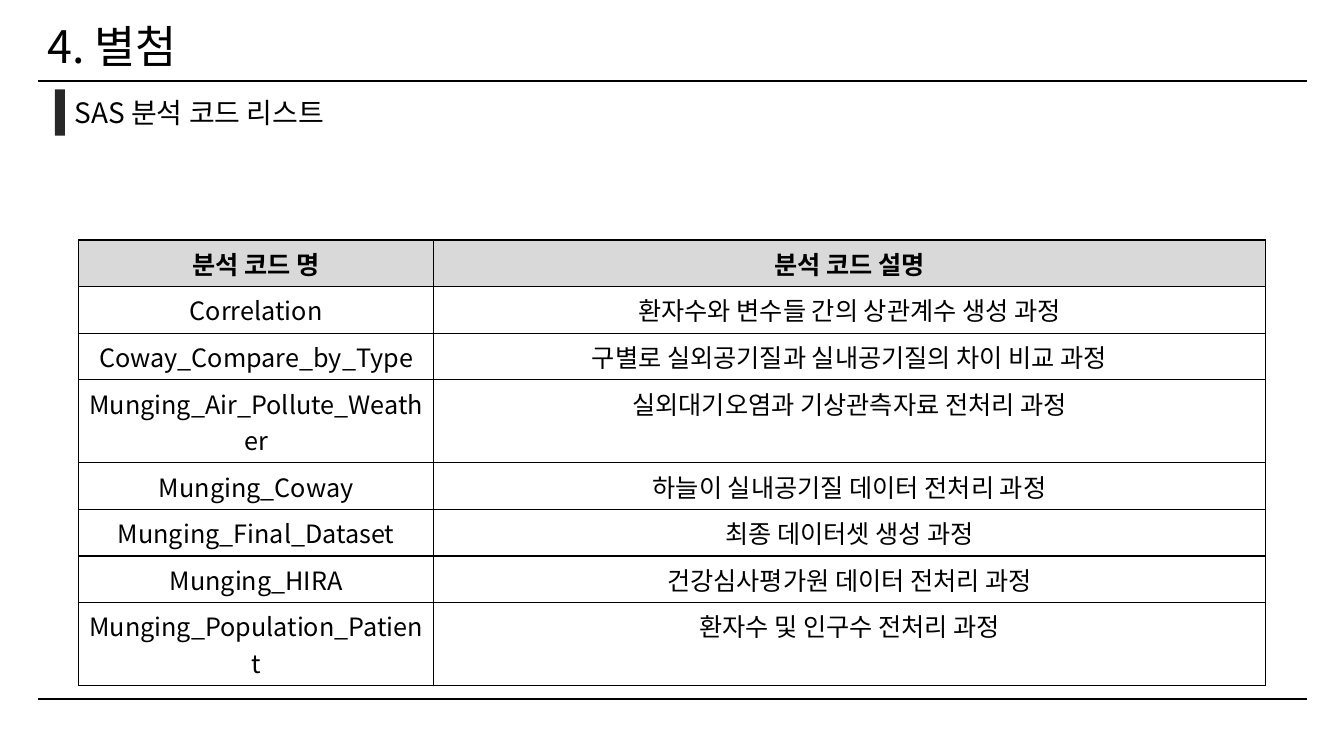
from lxml import etree
from pptx import Presentation
from pptx import util as u
from pptx.dml.color import RGBColor
from pptx.enum import shapes, text
from pptx.oxml import ns

Pt = u.Pt
FONT = "Noto Sans CJK KR"
HUES = {"ink": "000000", "bar": "282828", "head": "D9D9D9"}
hue = {name: RGBColor.from_string(code) for name, code in HUES.items()}


def style(para, size, bold=False):
    """Format every run of the paragraph."""
    for run in para.runs:
        run.font.name = FONT
        run.font.size = Pt(size)
        run.font.bold = bold
        run.font.color.rgb = hue["ink"]


def border(cell, width):
    """Draw a solid line on all four sides of the cell."""
    props = cell._tc.get_or_add_tcPr()
    for spot, side in enumerate(("lnL", "lnR", "lnT", "lnB")):
        line = etree.Element(ns.qn("a:" + side), w=str(Pt(width)))
        fill = etree.SubElement(line, ns.qn("a:solidFill"))
        etree.SubElement(fill, ns.qn("a:srgbClr"), val=HUES["ink"])
        props.insert(spot, line)


deck = Presentation()
deck.slide_width, deck.slide_height = Pt(960), Pt(540)
slide = deck.slides.add_slide(deck.slide_layouts[5])

# Title
title = slide.shapes.title
title.left, title.top = Pt(26.6), Pt(14.4)
title.width, title.height = Pt(906.5), Pt(41.8)
frame = title.text_frame
frame.text = "4. 별첨"
frame.word_wrap = True
frame.auto_size = text.MSO_AUTO_SIZE.NONE
frame.vertical_anchor = text.MSO_ANCHOR.MIDDLE
para = frame.paragraphs[0]
para.alignment = text.PP_ALIGN.LEFT
para.line_spacing = 0.9
style(para, 32)

# Rules under the title and at the foot
for y in (57.6, 499.3):
    rule = slide.shapes.add_connector(
        shapes.MSO_CONNECTOR.STRAIGHT, Pt(27), Pt(y), Pt(933.8), Pt(y))
    rule.line.color.rgb = hue["ink"]
    rule.line.width = Pt(1.5)
    etree.SubElement(rule._element.spPr, ns.qn("a:effectLst"))

# Subtitle with its bar
group = slide.shapes.add_group_shape()
label = group.shapes.add_textbox(Pt(46.1), Pt(64.8), Pt(332), Pt(31.5))
label.text_frame.text = "SAS 분석 코드 리스트"
label.text_frame.word_wrap = True
label.text_frame.auto_size = text.MSO_AUTO_SIZE.SHAPE_TO_FIT_TEXT
style(label.text_frame.paragraphs[0], 20)
bar = group.shapes.add_shape(
    shapes.MSO_SHAPE.RECTANGLE, Pt(39.2), Pt(63.8), Pt(7.2), Pt(33.1))
bar.shadow.inherit = False
bar.fill.solid()
bar.fill.fore_color.rgb = hue["bar"]
bar.line.fill.background()

# Table of code files
rows = [
    ("분석 코드 명", "분석 코드 설명"),
    ("Correlation", "환자수와 변수들 간의 상관계수 생성 과정"),
    ("Coway_Compare_by_Type", "구별로 실외공기질과 실내공기질의 차이 비교 과정"),
    ("Munging_Air_Pollute_Weather", "실외대기오염과 기상관측자료 전처리 과정"),
    ("Munging_Coway", "하늘이 실내공기질 데이터 전처리 과정"),
    ("Munging_Final_Dataset", "최종 데이터셋 생성 과정"),
    ("Munging_HIRA", "건강심사평가원 데이터 전처리 과정"),
    ("Munging_Population_Patient", "환자수 및 인구수 전처리 과정"),
]
widths = (253.6, 594)
# Names too long for one line get a taller row
heights = [59.3 if len(name) > 24 else 33.3 for name, _ in rows]
table = slide.shapes.add_table(
    len(rows), len(widths), Pt(56.2), Pt(171.5),
    Pt(sum(widths)), Pt(sum(heights))).table
table.horz_banding = False
for col, width in zip(table.columns, widths):
    col.width = Pt(width)
for r, row in enumerate(rows):
    table.rows[r].height = Pt(heights[r])
    for c, words in enumerate(row):
        cell = table.cell(r, c)
        cell.text = words
        para = cell.text_frame.paragraphs[0]
        para.alignment = text.PP_ALIGN.CENTER
        style(para, 18, bold=r == 0)
        if r == 0:
            cell.fill.solid()
            cell.fill.fore_color.rgb = hue["head"]
        else:
            cell.fill.background()
        border(cell, 1)

deck.save("out.pptx")
